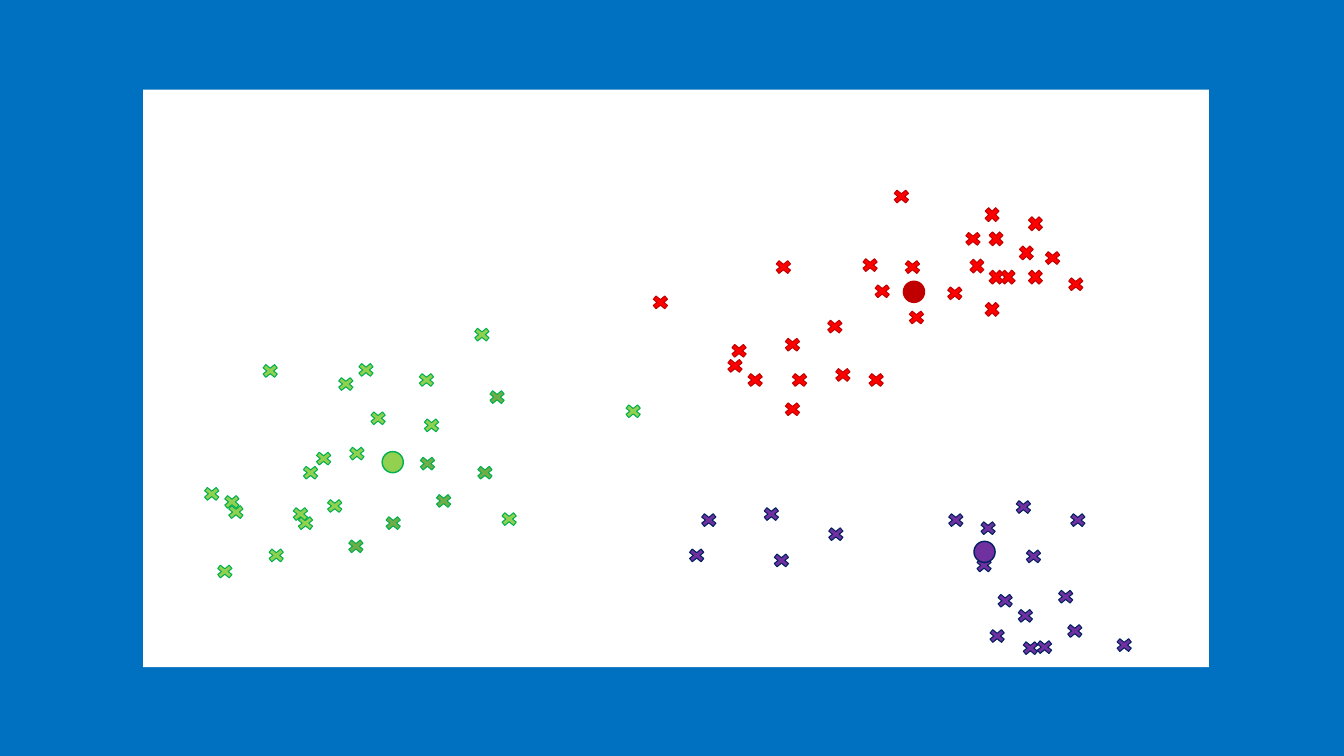
import pptx
import pptx.dml.color
import pptx.enum.shapes
import pptx.util
from pptx.util import Inches

THEME = {
    "background": "0070C0",
    "panel": "FFFFFF",
    "lime": "92D050",
    "leaf": "70AD47",
    "green edge": "00B050",
    "red": "FF0000",
    "red edge": "C00000",
    "purple": "7030A0",
    "purple edge": "002060",
}

SLIDE_SIZE = (13.33, 7.5)
PANEL = (1.42, 0.89, 10.57, 5.73)
WIDE_CROSS = (0.22, 0.18)
SQUARE_CROSS = (0.2, 0.2)
CENTROID_SIZE = (0.21, 0.21)
CROSS_LINE = 0.75
CENTROID_LINE = 1

CROSSES = [
    ("lime", "green edge", WIDE_CROSS, [
        (2.12, 5.58), (2.63, 5.42), (2.23, 4.99), (2.92, 5.1), (2.19, 4.89),
        (1.99, 4.81), (2.87, 5.01), (2.97, 4.6), (2.57, 3.59), (3.43, 4.41),
        (3.32, 3.72), (3.1, 4.46), (3.52, 3.58), (6.17, 3.99), (3.64, 4.06),
        (4.94, 5.06), (4.12, 3.68), (4.17, 4.13), (3.21, 4.93), (4.67, 3.23),
    ]),
    ("leaf", "green edge", WIDE_CROSS, [
        (3.42, 5.33), (3.79, 5.1), (4.13, 4.51), (4.82, 3.85), (4.7, 4.6),
        (4.29, 4.88),
    ]),
    ("red", "red edge", SQUARE_CROSS, [
        (10.17, 2.12), (9.9, 2.65), (10.08, 2.41), (9.74, 2.03), (9.78, 2.27),
        (9.59, 2.54), (10.17, 2.65), (9.78, 2.65), (9.74, 2.97),
    ]),
    ("red", "red edge", WIDE_CROSS, [
        (9.54, 2.28), (10.33, 2.47), (10.56, 2.73), (8.94, 2.56), (9.36, 2.82),
        (8.83, 1.86), (8.52, 2.54), (8.17, 3.15), (8.64, 2.8), (8.98, 3.06),
        (7.75, 3.97), (7.38, 3.68), (8.58, 3.68), (8.25, 3.63), (7.75, 3.33),
        (7.66, 2.56), (7.82, 3.68), (7.18, 3.54), (7.22, 3.39), (6.44, 2.91),
    ]),
    ("purple", "purple edge", WIDE_CROSS, [
        (9.86, 5.87), (10.55, 6.17), (9.78, 6.22), (10.11, 6.34), (10.25, 6.33),
        (11.04, 6.31), (10.06, 6.02), (10.46, 5.83), (10.14, 5.43), (10.58, 5.07),
        (9.65, 5.52), (9.37, 5.07), (9.69, 5.15), (10.04, 4.94), (6.8, 5.42),
        (7.54, 5.01), (8.18, 5.21), (7.64, 5.47), (6.92, 5.07),
    ]),
]

CENTROIDS = [
    ("purple", "purple edge", (9.66, 5.37)),
    ("red edge", "red edge", (8.96, 2.79)),
    ("lime", "green edge", (3.79, 4.48)),
]


def color(name):
    return pptx.dml.color.RGBColor.from_string(THEME[name])


def add_mark(page, kind, corner, size, fill, edge=None, weight=0):
    mark = page.shapes.add_shape(kind, *map(Inches, (*corner, *size)))
    mark.shadow.inherit = False
    mark.fill.solid()
    mark.fill.fore_color.rgb = color(fill)
    if edge:
        mark.line.color.rgb = color(edge)
        mark.line.width = pptx.util.Pt(weight)
    else:
        mark.line.fill.background()


def main():
    shapes = pptx.enum.shapes.MSO_SHAPE
    deck = pptx.Presentation()
    deck.slide_width, deck.slide_height = map(Inches, SLIDE_SIZE)
    page = deck.slides.add_slide(deck.slide_layouts[6])
    page.background.fill.solid()
    page.background.fill.fore_color.rgb = color("background")

    add_mark(page, shapes.RECTANGLE, PANEL[:2], PANEL[2:], "panel")
    for fill, edge, size, corners in CROSSES:
        for corner in corners:
            add_mark(page, shapes.MATH_MULTIPLY, corner, size, fill, edge, CROSS_LINE)
    for fill, edge, corner in CENTROIDS:
        add_mark(page, shapes.OVAL, corner, CENTROID_SIZE, fill, edge, CENTROID_LINE)

    deck.save("out.pptx")


if __name__ == "__main__":
    main()
